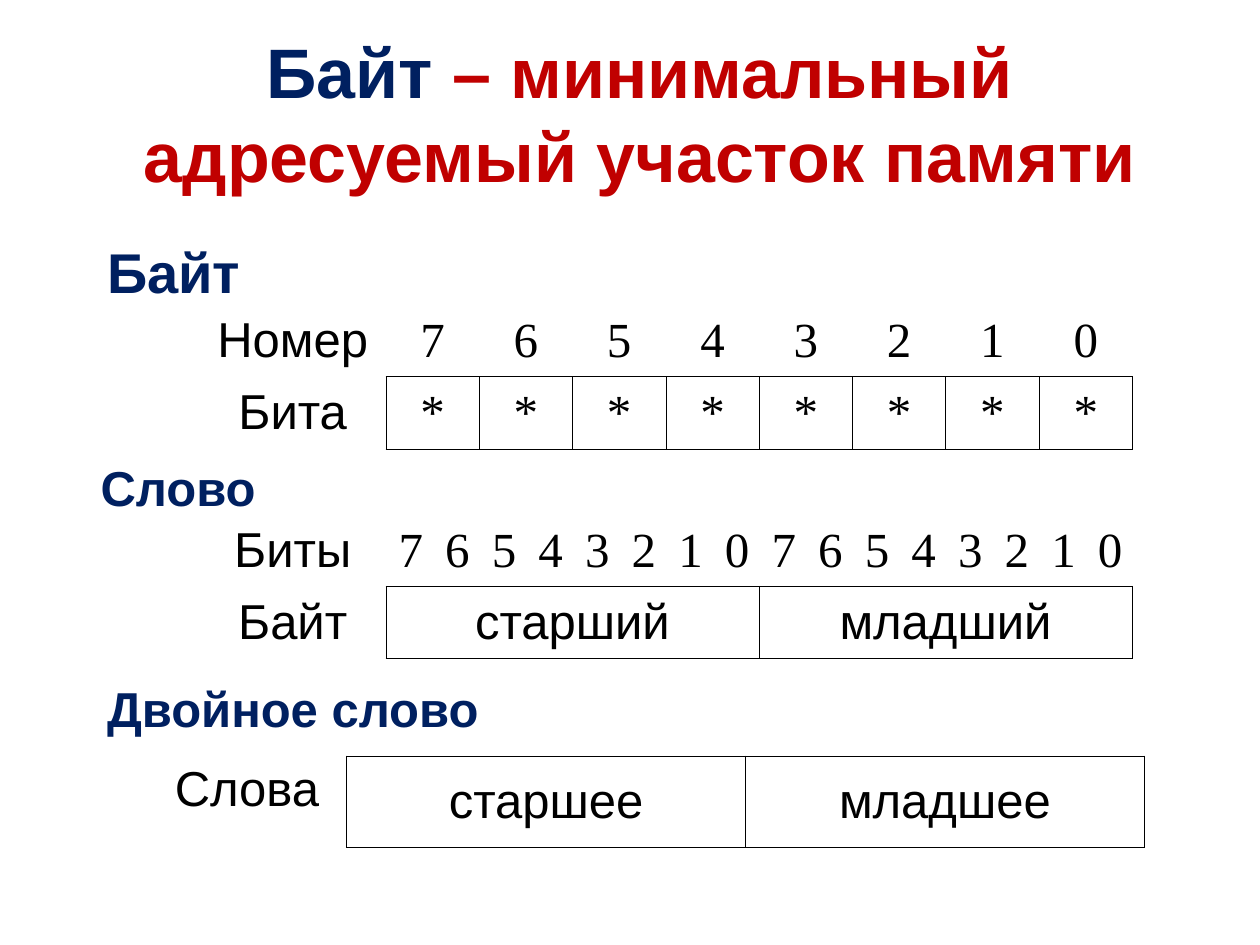
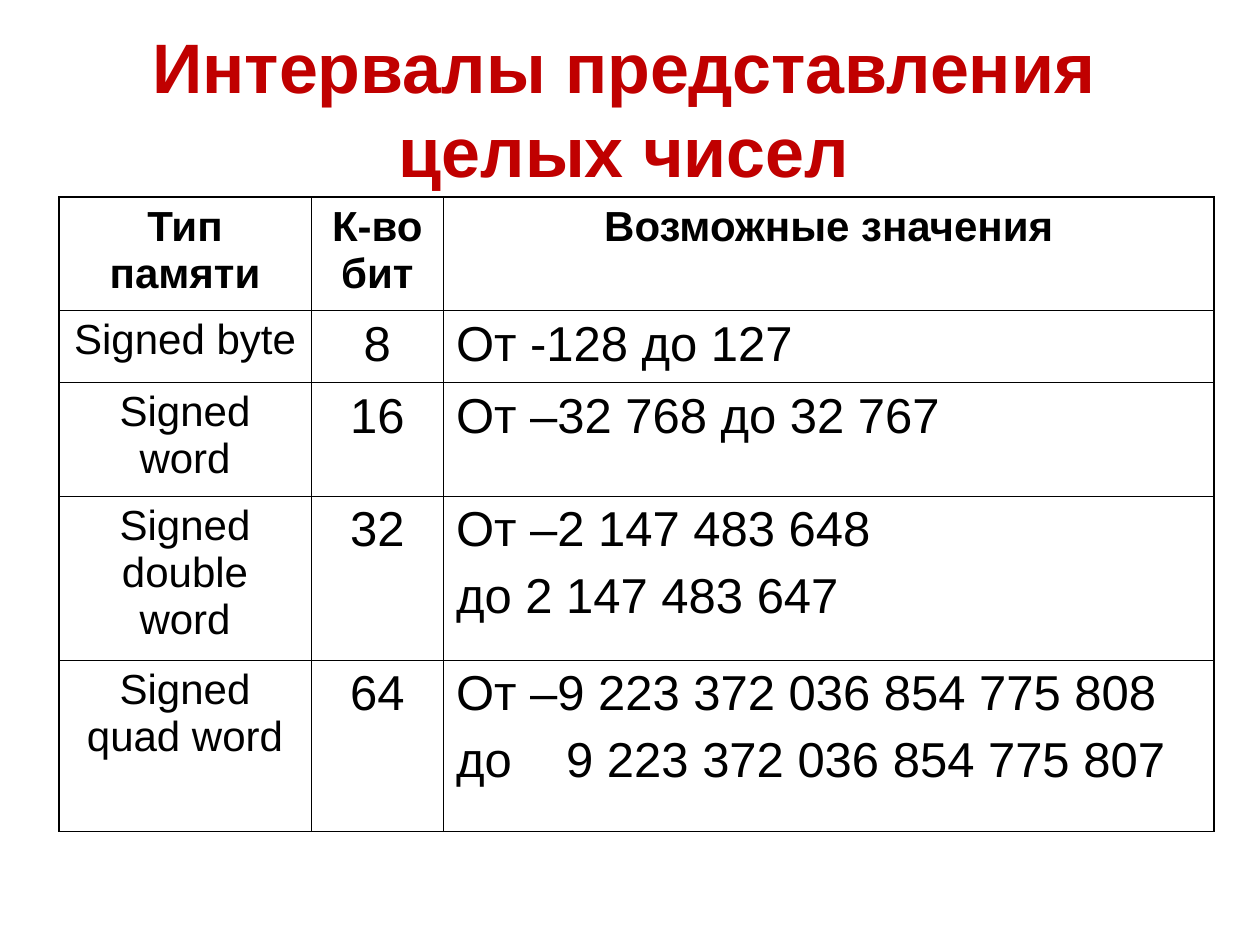
from dataclasses import dataclass

from lxml import etree
from pptx import Presentation
from pptx.dml.color import RGBColor
from pptx.enum.text import MSO_ANCHOR, PP_ALIGN
from pptx.oxml.ns import qn
from pptx.util import Cm, Pt

LEFT, CENTER, JUSTIFY = PP_ALIGN.LEFT, PP_ALIGN.CENTER, PP_ALIGN.JUSTIFY
TOP, MIDDLE = MSO_ANCHOR.TOP, MSO_ANCHOR.MIDDLE
BLANK_LAYOUT = 6


@dataclass(frozen=True)
class Theme:
    navy: str = "002060"
    red: str = "C00000"
    black: str = "000000"
    sans: str = "Arial"
    serif: str = "Times New Roman"
    title: int = 40
    heading: int = 32
    body: int = 28
    small: int = 24
    thin: float = 0.45
    thick: float = 1.08


THEME = Theme()


def write_text(holder, text, *, size=THEME.body, color=THEME.black, font=THEME.sans,
               bold=False, align=LEFT, anchor=TOP, tab=None):
    """Fill a cell or text frame; text is a string or (string, color) runs."""
    holder.vertical_anchor = anchor
    frame = getattr(holder, "text_frame", holder)
    frame.word_wrap = True
    runs = [(text, color)] if isinstance(text, str) else text
    paragraph = frame.paragraphs[0]
    paragraph.alignment = align
    for run_text, run_color in runs:
        for number, line in enumerate(run_text.split("\n")):
            if number:
                paragraph = frame.add_paragraph()
                paragraph.alignment = align
                paragraph.space_before = Pt(size / 4)
            if "\t" in line:
                properties = paragraph._p.get_or_add_pPr()
                tabs = etree.SubElement(properties, qn("a:tabLst"))
                etree.SubElement(tabs, qn("a:tab"), pos=str(Cm(tab)), algn="l")
            run = paragraph.add_run()
            run.text = line
            run.font.size = Pt(size)
            run.font.name = font
            run.font.bold = bold
            run.font.color.rgb = RGBColor.from_string(run_color)


def set_borders(cell, widths):
    """Draw the sides L, R, T, B; a width of None hides that side."""
    properties = cell._tc.get_or_add_tcPr()
    for position, (side, width) in enumerate(widths.items()):
        line = etree.Element(qn(f"a:ln{side}"), w=str(Pt(width or 0)))
        if width:
            fill = etree.SubElement(line, qn("a:solidFill"))
            etree.SubElement(fill, qn("a:srgbClr"), val=THEME.black)
        else:
            etree.SubElement(line, qn("a:noFill"))
        properties.insert(position, line)


class Deck:
    def __init__(self):
        self.presentation = Presentation()
        self.presentation.slide_width = Cm(25.4)
        self.presentation.slide_height = Cm(19.05)
        self.slide = None

    def add_slide(self):
        layout = self.presentation.slide_layouts[BLANK_LAYOUT]
        self.slide = self.presentation.slides.add_slide(layout)

    def add_text(self, text, left, top, width, height, **text_format):
        box = self.slide.shapes.add_textbox(Cm(left), Cm(top), Cm(width), Cm(height))
        write_text(box.text_frame, text, **text_format)

    def add_title(self, text, width, height):
        self.add_text(text, 1.78, 0.58, width, height, size=THEME.title,
                      color=THEME.red, bold=True, align=CENTER, anchor=MIDDLE)

    def add_heading(self, text, left, top, width, size=THEME.body):
        self.add_text(text, left, top, width, 1.45, size=size,
                      color=THEME.navy, bold=True)

    def add_table(self, rows, left, top, column_widths, row_heights, cell_format,
                  framed_from=(0, 0), outer=THEME.thin):
        """Cells from framed_from onwards get borders; None extends the cell before it."""
        frame = self.slide.shapes.add_table(
            len(rows), len(column_widths), Cm(left), Cm(top),
            Cm(sum(column_widths)), Cm(sum(row_heights)))
        table = frame.table
        table.first_row = table.horz_banding = False
        for column, width in zip(table.columns, column_widths):
            column.width = Cm(width)
        for row, height in zip(table.rows, row_heights):
            row.height = Cm(height)

        def inside(row, column):
            return 0 <= row < len(rows) and 0 <= column < len(column_widths)

        def framed(row, column):
            return (inside(row, column)
                    and row >= framed_from[0] and column >= framed_from[1])

        def side_width(row, column, row_step, column_step):
            neighbour = row + row_step, column + column_step
            if not (framed(row, column) or framed(*neighbour)):
                return None
            return THEME.thin if inside(*neighbour) else outer

        steps = {"L": (0, -1), "R": (0, 1), "T": (-1, 0), "B": (1, 0)}
        for row, texts in enumerate(rows):
            for column, text in enumerate(texts):
                cell = table.cell(row, column)
                cell.fill.background()
                set_borders(cell, {side: side_width(row, column, *step)
                                   for side, step in steps.items()})
                if text is not None:
                    write_text(cell, text, **cell_format(row, column))
            starts = [column for column, text in enumerate(texts) if text is not None]
            for start, end in zip(starts, starts[1:] + [len(texts)]):
                if end - start > 1:
                    table.cell(row, start).merge(table.cell(row, end - 1))


def bit_format(row, column):
    """Bit numbers and marks are serif, row labels are sans."""
    return {"font": THEME.serif if column else THEME.sans,
            "align": CENTER, "anchor": MIDDLE}


def word_format(row, column):
    font = THEME.serif if column and row == 0 else THEME.sans
    return {"font": font, "align": CENTER, "anchor": MIDDLE}


def double_word_format(row, column):
    return {"align": CENTER, "anchor": MIDDLE if column else TOP}


def range_format(row, column):
    is_small = row == 0 or column == 0
    return {"size": THEME.small if is_small else THEME.body, "bold": row == 0,
            "align": JUSTIFY if row and column == 2 else CENTER, "tab": 2.22}


def build_memory_slide(deck):
    deck.add_slide()
    deck.add_title([("Байт", THEME.navy),
                    (" – минимальный адресуемый участок памяти", THEME.red)],
                   22.23, 3.38)
    bits = list("76543210")
    label_width, byte_width, table_left = 3.76, 15.05, 4.02

    deck.add_heading("Байт", 1.91, 4.66, 21.59, size=THEME.heading)
    deck.add_table([["Номер"] + bits, ["Бита"] + ["*"] * 8],
                   table_left, 6.14, [label_width] + [byte_width / 8] * 8,
                   [1.45, 1.47], bit_format, framed_from=(1, 1))

    deck.add_heading("Слово", 1.78, 9.09, 3.94)
    skipped = [None] * 7
    deck.add_table([["Биты"] + bits * 2,
                    ["Байт", "старший"] + skipped + ["младший"] + skipped],
                   table_left, 10.37, [label_width] + [byte_width / 16] * 16,
                   [1.45, 1.45], word_format, framed_from=(1, 1))

    deck.add_heading("Двойное слово", 1.91, 13.55, 9.4)
    deck.add_table([["Слова", "старшее", "младшее"]], 2.97, 15.24,
                   [4.02, 8.04, 8.04], [1.84], double_word_format, framed_from=(0, 1))


def build_ranges_slide(deck):
    deck.add_slide()
    deck.add_title("Интервалы представления целых чисел", 21.59, 3.18)
    rows = [
        ["Тип памяти", "К-во бит", "Возможные значения"],
        ["Signed byte", "8", "От -128 до 127"],
        ["Signed word", "16", "От –32 768 до 32 767"],
        ["Signed double word", "32", "От –2 147 483 648\nдо 2 147 483 647"],
        ["Signed quad word", "64",
         "От –9 223 372 036 854 775 808\nдо\t9 223 372 036 854 775 807"],
    ]
    deck.add_table(rows, 1.19, 3.97, [5.08, 2.67, 15.53],
                   [2.29, 1.45, 2.29, 3.3, 3.46], range_format, outer=THEME.thick)


def main():
    deck = Deck()
    build_memory_slide(deck)
    build_ranges_slide(deck)
    deck.presentation.save("out.pptx")


if __name__ == "__main__":
    main()
